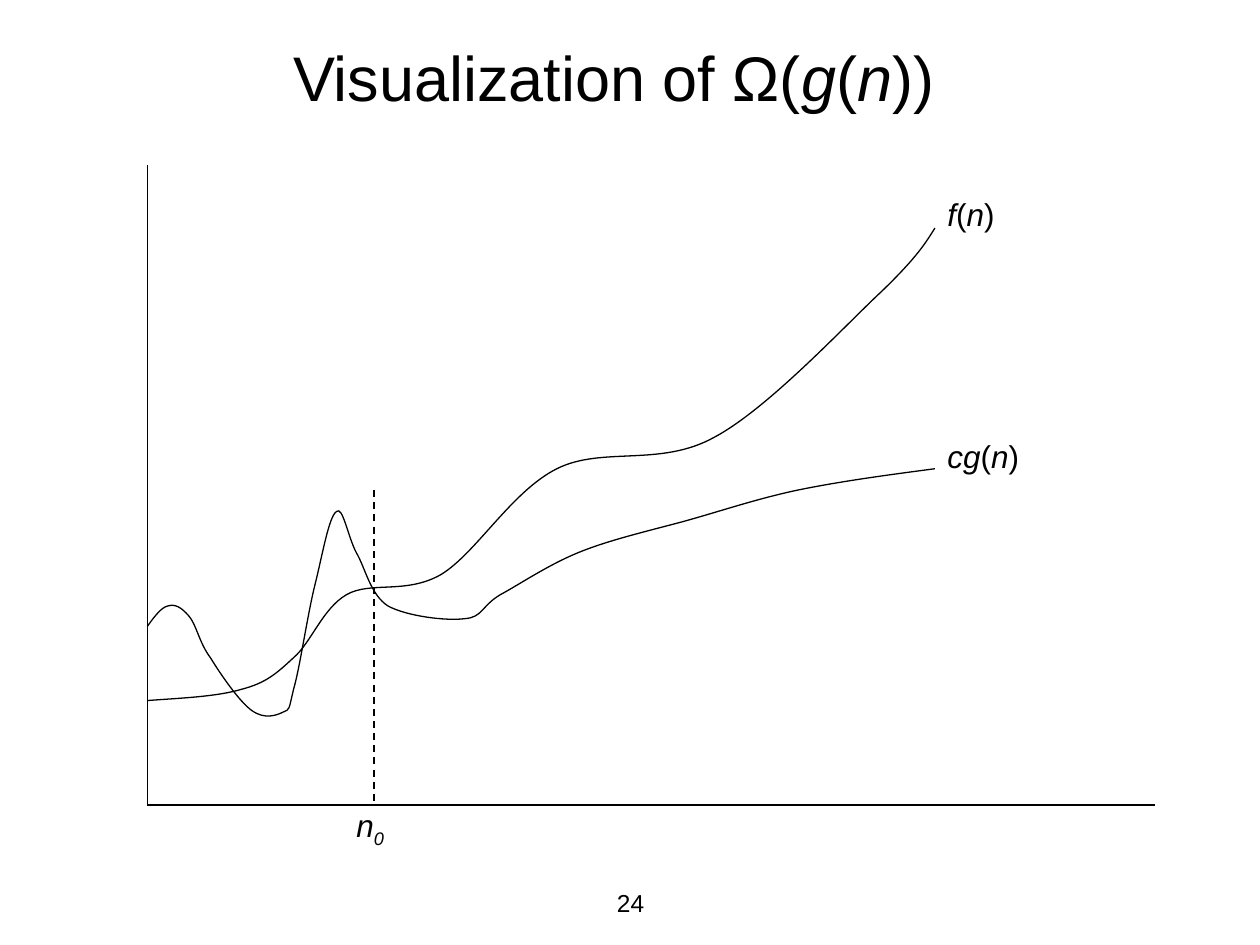
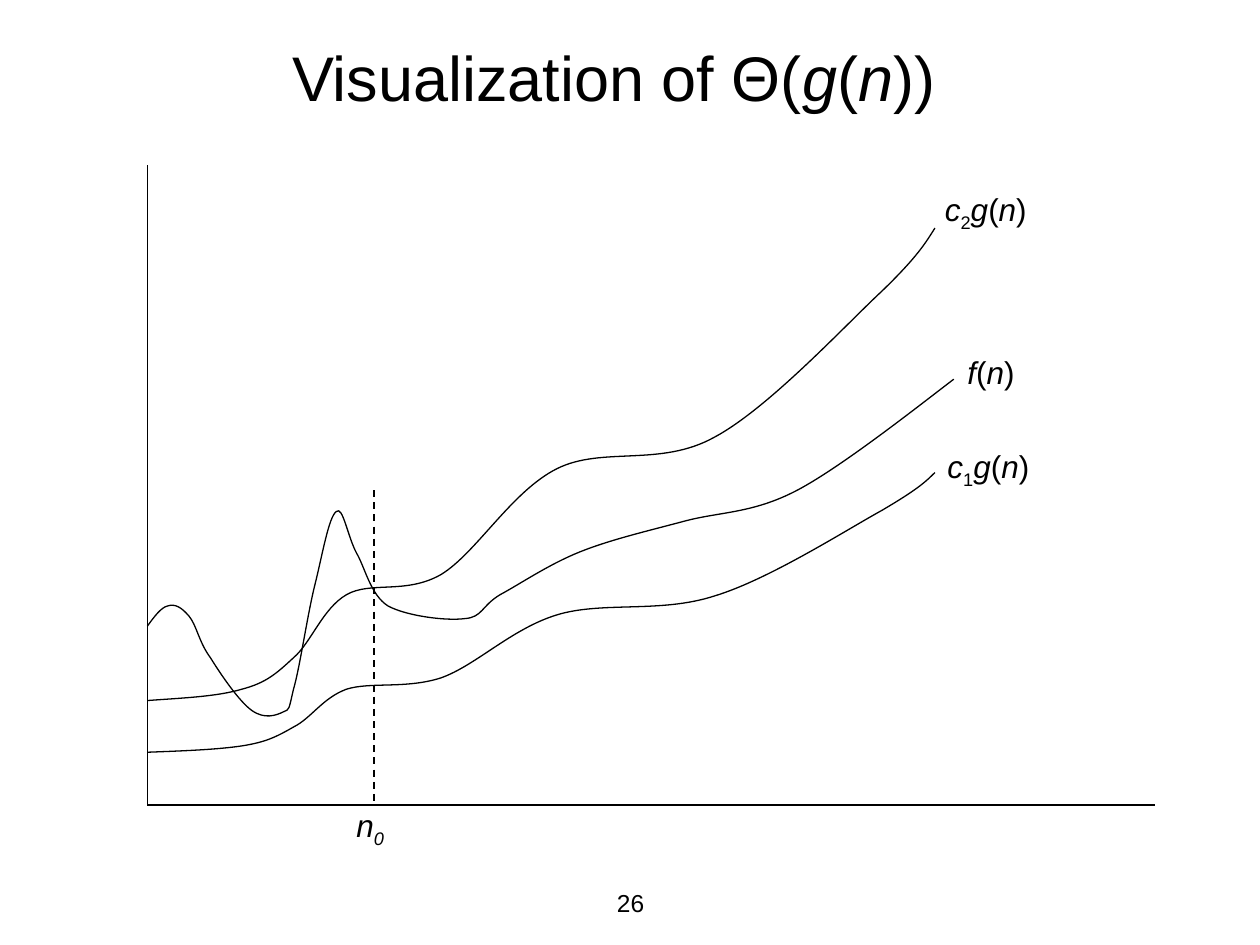
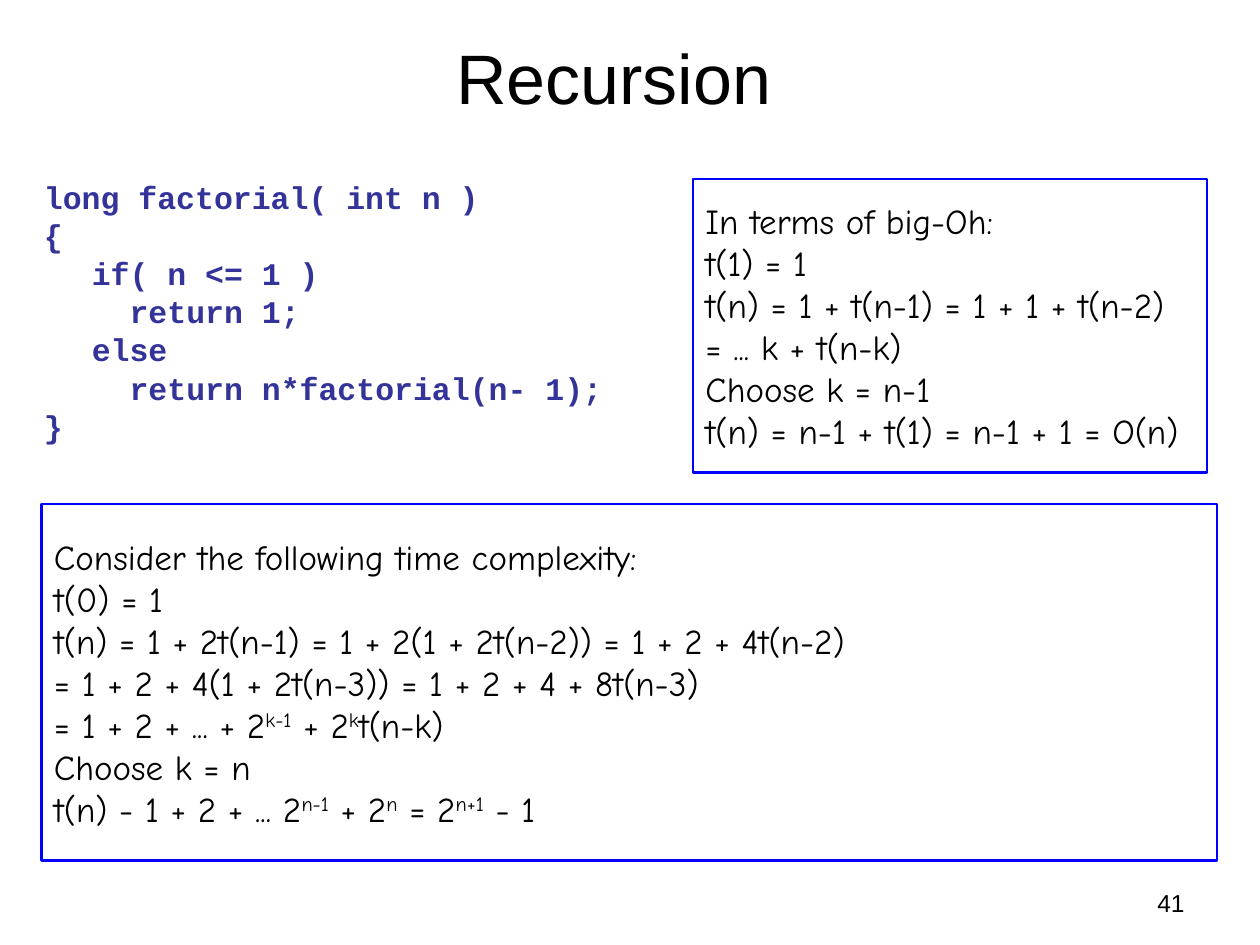
from pptx import Presentation
from pptx.dml.color import RGBColor
from pptx.enum.dml import MSO_LINE
from pptx.enum.shapes import MSO_CONNECTOR, MSO_SHAPE
from pptx.enum.text import MSO_ANCHOR, MSO_AUTO_SIZE, PP_ALIGN
from pptx.oxml.ns import qn
from pptx.util import Inches, Pt
from lxml import etree

BLACK = RGBColor(0x00, 0x00, 0x00)
BLUE = RGBColor(0x00, 0x00, 0xFF)
NAVY = RGBColor(0x33, 0x33, 0x99)
SUB, SUP = -25000, 30000


def write(para, runs, size, face="Arial", color=BLACK, align=PP_ALIGN.LEFT):
    para.alignment = align
    para.font.size = Pt(size)
    para.font.name = face
    para.font.color.rgb = color
    for text, slant, base in runs:
        run = para.add_run()
        run.text = text
        if slant:
            run.font.italic = True
        if base:
            run.font._element.set("baseline", str(base))


def place(slide, x, y, w, h):
    box = slide.shapes.add_textbox(Inches(x), Inches(y), Inches(w), Inches(h))
    box.text_frame.word_wrap = True
    return box.text_frame


deck = Presentation()
deck.slide_width, deck.slide_height = Inches(10), Inches(7.5)

f_n = [("f", True, 0), ("(", False, 0), ("n", True, 0), (")", False, 0)]
g_n = [("g", True, 0)] + f_n[1:]
n_0 = [("n", True, 0), ("0", True, SUB)]
c1_g, c2_g = [[("c", True, 0), (d, False, SUB)] + g_n for d in "12"]
cg_n = [("cg", True, 0)] + f_n[1:]

pages = [
    ([("Visualization of Ω(", False, 0)] + g_n[:3] + [("))", False, 0)], 36, "24", 3.42, 3.17, PP_ALIGN.CENTER),
    ([("Visualization of Θ(", False, 0)] + g_n[:3] + [("))", False, 0)], 36, "26", 3.42, 3.17, PP_ALIGN.CENTER),
    ([("Recursion", False, 0)], 40, "41", 7.17, 2.33, PP_ALIGN.RIGHT),
]
slides = []
for title, size, num, left, width, align in pages:
    slide = deck.slides.add_slide(deck.slide_layouts[6])
    slides.append(slide)
    write(place(slide, left, 7, width, 0.35).paragraphs[0], [(num, False, 0)], 14, align=align)
    head = place(slide, 0.37, 0.11, 9, 0.99)
    head.vertical_anchor = MSO_ANCHOR.MIDDLE
    write(head.paragraphs[0], title, size, align=PP_ALIGN.CENTER)

# Curve points are in hundredths of an inch: a start, then three per Bezier piece.
smooth = [
    (117, 556), (144, 554), (172, 553), (192, 547), (211, 542), (219, 535), (233, 522),
    (247, 510), (256, 483), (275, 472), (294, 461), (322, 472), (350, 456),
    (378, 439), (406, 390), (442, 372), (478, 354), (524, 371), (567, 347),
    (610, 324), (671, 258), (700, 231), (729, 203), (735, 192), (742, 181),
]
wavy = [
    (117, 497), (122, 490), (128, 482), (133, 481), (139, 479), (144, 482), (150, 489),
    (156, 496), (158, 510), (167, 522), (175, 535), (190, 557), (200, 564),
    (210, 571), (219, 568), (225, 565), (230, 563), (229, 564), (233, 547),
    (238, 530), (244, 488), (250, 464), (256, 440), (261, 410), (267, 406),
    (272, 401), (276, 426), (283, 439), (290, 451), (294, 472), (308, 481),
    (323, 489), (354, 493), (369, 491), (383, 490), (382, 481), (397, 472),
    (412, 464), (434, 449), (458, 439), (482, 429), (512, 422), (542, 414),
]
slow = wavy + [(571, 406), (600, 396), (633, 389), (667, 382), (704, 377), (742, 372)]
fast = wavy + [(571, 406), (597, 408), (633, 389), (669, 370), (732, 320), (757, 301)]
low = [(x, round(375 + (y - 181) * 0.592)) for x, y in smooth]

axes = [
    (1.17, 1.31, 1.17, 6.39, 0.75, None),
    (1.17, 6.39, 9.17, 6.39, 0.75, None),
    (2.97, 3.89, 2.97, 6.39, 1, MSO_LINE.DASH),
]
charts = [
    ([smooth, slow], [(n_0, 2.73, 6.35, 0.48), (cg_n, 7.42, 3.42, 0.9), (f_n, 7.42, 1.5, 0.68)]),
    ([smooth, fast, low], [(n_0, 2.73, 6.35, 0.48), (c2_g, 7.4, 1.46, 1.02),
                           (f_n, 7.58, 2.75, 0.68), (c1_g, 7.42, 3.5, 1.02)]),
]
for slide, (curves, labels) in zip(slides, charts):
    for x1, y1, x2, y2, width, dash in axes:
        line = slide.shapes.add_connector(
            MSO_CONNECTOR.STRAIGHT, Inches(x1), Inches(y1), Inches(x2), Inches(y2))
        line.line.color.rgb = BLACK
        line.line.width = Pt(width)
        if dash:
            line.line.dash_style = dash
        etree.SubElement(line._element.spPr, qn("a:effectLst"))
    for points in curves:
        form = slide.shapes.build_freeform(*points[0], scale=Inches(0.01))
        form.add_line_segments(points[1:], close=False)
        curve = form.convert_to_shape()
        curve.shadow.inherit = False
        curve.fill.background()
        curve.line.color.rgb = BLACK
        curve.line.width = Pt(0.75)
        track = curve._element.find(".//" + qn("a:path"))
        steps = track.findall(qn("a:lnTo"))
        for i in range(0, len(steps), 3):
            bend = etree.SubElement(track, qn("a:cubicBezTo"))
            for step in steps[i:i + 3]:
                bend.append(step[0])
                track.remove(step)
    for runs, x, y, w in labels:
        label = place(slide, x, y, w, 0.5)
        label.word_wrap = False
        label.auto_size = MSO_AUTO_SIZE.SHAPE_TO_FIT_TEXT
        write(label.paragraphs[0], runs, 18)

last = slides[2]
code = [
    ("long factorial( int n )", 0), ("{", 0), ("if( n <= 1 )", 0.38), ("return 1;", 0.68),
    ("else", 0.38), ("return n*factorial(n- 1);", 0.68), ("}", 0),
]
body = place(last, 0.25, 1.42, 9.25, 2.58)
for i, (text, dent) in enumerate(code):
    para = body.add_paragraph() if i else body.paragraphs[0]
    write(para, [(text, False, 0)], 18, "Courier New", NAVY)
    para.font.bold = True
    para.line_spacing = 0.8
    para.space_before = Pt(4.5)
    para._p.get_or_add_pPr().set("marL", str(Inches(dent)))

panels = [
    (5.5, 1.42, 4.08, 2.33, [
        ["In terms of big-Oh:"], ["t(1) = 1"], ["t(n) = 1 + t(n-1) = 1 + 1 + t(n-2)"],
        ["= ... k + t(n-k)"], ["Choose k = n-1"], ["t(n) = n-1 + t(1) = n-1 + 1 = O(n)"],
    ]),
    (0.33, 4, 9.33, 2.83, [
        ["Consider the following time complexity:"], ["t(0) = 1"],
        ["t(n) = 1 + 2t(n-1) = 1 + 2(1 + 2t(n-2)) = 1 + 2 + 4t(n-2)"],
        ["= 1 + 2 + 4(1 + 2t(n-3)) = 1 + 2 + 4 + 8t(n-3)"],
        ["= 1 + 2 + ... + 2", "k-1", " + 2", "k", "t(n-k)"],
        ["Choose k = n"],
        ["t(n) - 1 + 2 + ... 2", "n-1", " + 2", "n", " = 2", "n+1", " - 1"],
    ]),
]
for x, y, w, h, lines in panels:
    panel = last.shapes.add_shape(MSO_SHAPE.RECTANGLE, Inches(x), Inches(y), Inches(w), Inches(h))
    panel.shadow.inherit = False
    panel.fill.background()
    panel.line.color.rgb = BLUE
    panel.line.width = Pt(1.5)
    frame = panel.text_frame
    frame.word_wrap = False
    frame.vertical_anchor = MSO_ANCHOR.MIDDLE
    for i, parts in enumerate(lines):
        para = frame.add_paragraph() if i else frame.paragraphs[0]
        runs = [(part, False, SUP * (j % 2)) for j, part in enumerate(parts)]
        write(para, runs, 20, "Comic Neue")

deck.save("out.pptx")
